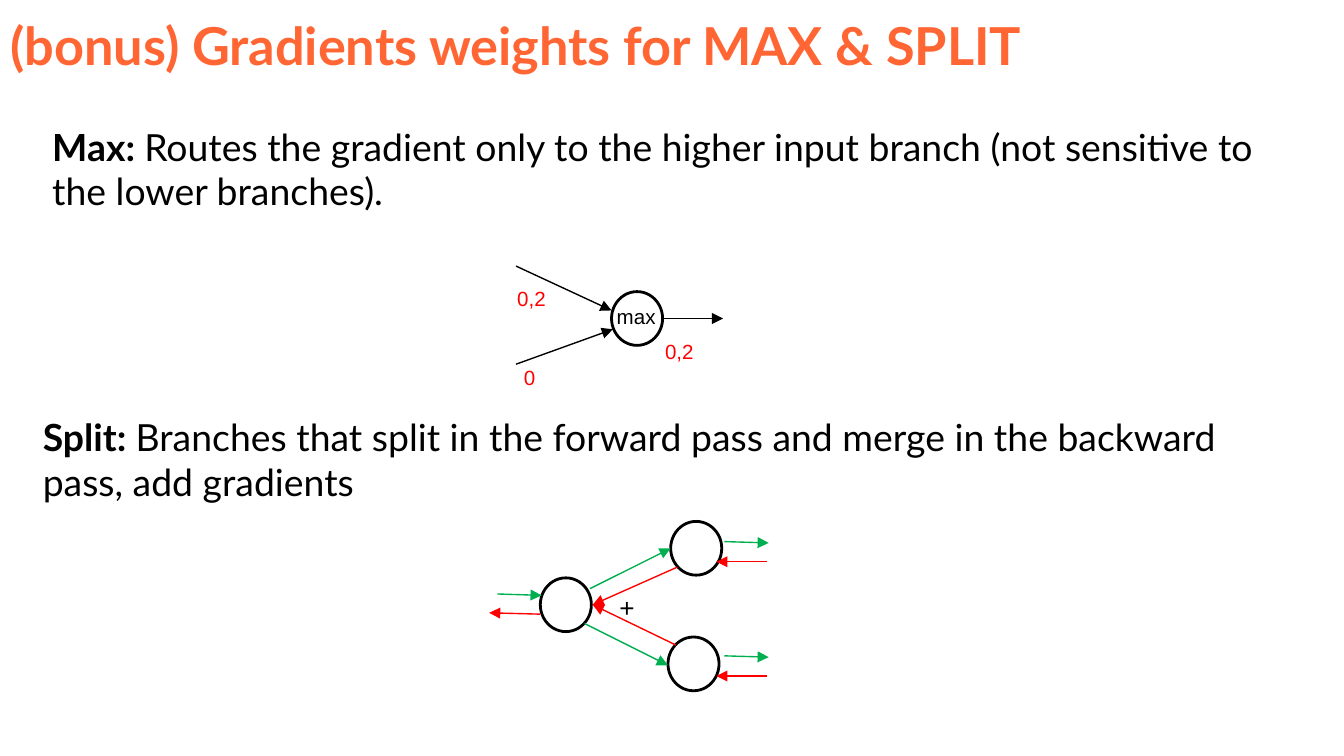
from lxml import etree
from pptx import Presentation
from pptx.dml.color import RGBColor
from pptx.enum import shapes, text
from pptx.oxml.ns import qn
from pptx.util import Inches, Pt

ORANGE = RGBColor(0xFF, 0x66, 0x33)
BLACK = RGBColor(0, 0, 0)
RED = RGBColor(0xFF, 0, 0)
GREEN = RGBColor(0, 0xB0, 0x50)

NODE_WIDTH, NODE_HEIGHT = 0.38, 0.4


def add_text(parent, box, runs, size, font, color, inset=0.1, wrap=True):
    """Add a one-paragraph text box; runs are (wording, bold) pairs."""
    frame = parent.add_textbox(*map(Inches, box)).text_frame
    frame.word_wrap = wrap
    frame.vertical_anchor = text.MSO_ANCHOR.TOP
    frame.margin_left = frame.margin_right = Inches(0.1)
    frame.margin_top = frame.margin_bottom = Inches(inset)
    paragraph = frame.paragraphs[0]
    paragraph.font.size = Pt(size)
    paragraph.font.name = font
    paragraph.font.color.rgb = color
    for wording, bold in runs:
        run = paragraph.add_run()
        run.text = wording
        run.font.bold = bold


def add_explanation(slide, box, term, meaning):
    add_text(slide.shapes, box, [(term, True), (meaning, False)], 20, "Lato", BLACK)


def add_label(parent, box, wording, color, size=11):
    add_text(parent, box, [(wording, False)], size, "Arial", color, 0.05, False)


def add_node(parent, left, top):
    node = parent.add_shape(shapes.MSO_SHAPE.OVAL, Inches(left), Inches(top),
                            Inches(NODE_WIDTH), Inches(NODE_HEIGHT))
    node.shadow.inherit = False
    node.fill.background()
    node.line.color.rgb = BLACK
    node.line.width = Pt(1.5)


def add_arrow(parent, start, end, color):
    arrow = parent.add_connector(shapes.MSO_CONNECTOR.STRAIGHT,
                                 *map(Inches, (*start, *end)))
    arrow.line.color.rgb = color
    arrow.line.width = Pt(0.75)
    etree.SubElement(arrow.line._get_or_add_ln(), qn("a:tailEnd"), type="triangle")
    etree.SubElement(arrow._element.spPr, qn("a:effectLst"))


def draw_max_gate(slide):
    gate = slide.shapes.add_group_shape().shapes
    add_node(gate, 4.55, 2.17)
    for start, end in [((3.84, 1.98), (4.55, 2.31)),
                       ((3.84, 2.71), (4.56, 2.45)),
                       ((4.93, 2.37), (5.38, 2.37))]:
        add_arrow(gate, start, end, BLACK)
    for box, gradient in [((3.75, 2.08, 0.47, 0.29), "0,2"),
                          ((4.85, 2.47, 0.42, 0.29), "0,2"),
                          ((3.8, 2.67, 0.29, 0.29), "0")]:
        add_label(gate, box, gradient, RED)
    add_label(gate, (4.49, 2.21, 0.49, 0.29), "max", BLACK)


def draw_split(slide):
    """Green arrows are the forward pass, red ones the backward pass."""
    split = slide.shapes.add_group_shape().shapes
    for left, top in [(4.02, 4.3), (4.97, 4.74), (4.99, 3.88)]:
        add_node(split, left, top)

    merge = (4.41, 4.5)
    add_arrow(split, (4.39, 4.38), (4.99, 4.08), GREEN)
    add_arrow(split, (4.35, 4.64), (4.97, 4.95), GREEN)
    add_arrow(split, (5.04, 4.22), merge, RED)
    add_arrow(split, (5.03, 4.8), merge, RED)
    add_label(split, (4.51, 4.35, 0.32, 0.34), "+", BLACK, 14)

    add_arrow(split, (3.7, 4.42), (4.03, 4.43), GREEN)
    add_arrow(split, (4.02, 4.57), (3.64, 4.56), RED)
    for y in (4.03, 4.88):
        add_arrow(split, (5.39, y), (5.72, y + 0.01), GREEN)
        add_arrow(split, (5.71, y + 0.15), (5.33, y + 0.15), RED)


def main():
    deck = Presentation()
    deck.slide_width = Inches(10)
    deck.slide_height = deck.slide_width * 9 // 16
    slide = deck.slides.add_slide(deck.slide_layouts[6])

    add_text(slide.shapes, (-0.02, 0, 9.4, 0.63),
             [("(bonus) Gradients weights for MAX & SPLIT", True)],
             28, "Lato", ORANGE)
    draw_max_gate(slide)
    add_explanation(slide, (0.29, 0.82, 9.33, 0.49), "Max: ",
                    "Routes the gradient only to the higher input branch "
                    "(not sensitive to the lower branches).")
    add_explanation(slide, (0.22, 2.98, 9.58, 0.49), "Split: ",
                    "Branches that split in the forward pass and merge in "
                    "the backward pass, add gradients")
    draw_split(slide)
    deck.save("out.pptx")


if __name__ == "__main__":
    main()
